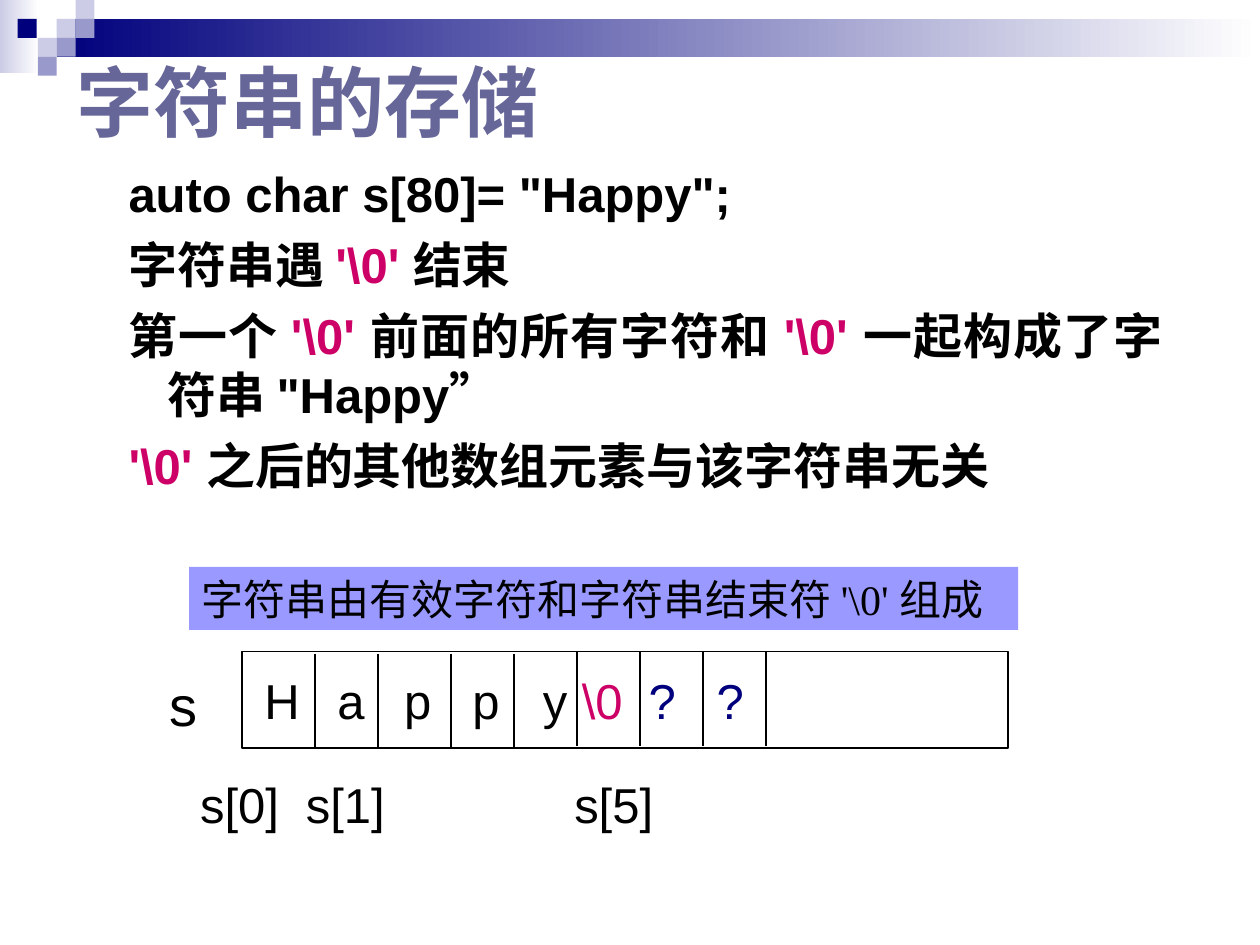
import pptx
import pptx.util
import pptx.dml.color
import pptx.enum.shapes
import pptx.enum.text
import pptx.oxml.ns
import lxml.etree as etree

PX = 9144  # 100 px to the inch
SANS, HAN, SERIF = "Arial", "Noto Sans CJK SC", "Times New Roman"
BLACK, PINK, NAVY = "000000", "CC0066", "00007D"
PALE, MID, WHITE = "CCCCE6", "9999CC", "FFFFFF"
NUL = "'\\0' "
ALIGN = pptx.enum.text.PP_ALIGN


def emu(*nums):
    return [pptx.util.Emu(n * PX) for n in nums]


def rgb(code):
    return pptx.dml.color.RGBColor.from_string(code)


def child(node, tag, **attrs):
    return etree.SubElement(node, pptx.oxml.ns.qn(tag), attrs)


def rect(slide, box, fill=None, line=None):
    shape = slide.shapes.add_shape(
        pptx.enum.shapes.MSO_SHAPE.RECTANGLE, *emu(*box))
    shape.shadow.inherit = False
    if fill:
        shape.fill.solid()
        shape.fill.fore_color.rgb = rgb(fill)
    else:
        shape.fill.background()
    if line:
        shape.line.color.rgb = rgb(line)
        shape.line.width = pptx.util.Pt(1)
    else:
        shape.line.fill.background()
    return shape


def fade(slide, box, color):
    """Rectangle fading from color at the left to white."""
    fill = rect(slide, box, color).fill
    fill.gradient()
    fill.gradient_angle = 180
    for stop, code in zip(fill.gradient_stops, (WHITE, color)):
        stop.color.rgb = rgb(code)


def rule(slide, x, top, end):
    line = slide.shapes.add_connector(
        pptx.enum.shapes.MSO_CONNECTOR.STRAIGHT, *emu(x, top, x, end))
    line.line.color.rgb = rgb(BLACK)
    line.line.width = pptx.util.Pt(1)
    child(line._element.spPr, "a:effectLst")


def write(para, text, size, color=BLACK, bold=False, face=SANS):
    run = para.add_run()
    run.text = text
    font = run.font
    font.size, font.bold, font.name = pptx.util.Pt(size), bold, face
    font.color.rgb = rgb(color)
    child(run._r.get_or_add_rPr(), "a:ea", typeface=HAN)


def hang(para, left, depth):
    """Hanging indent without a bullet."""
    props = para._p.get_or_add_pPr()
    props.set("marL", str(left * PX))
    props.set("indent", str(-depth * PX))
    child(props, "a:buNone")


def place(shape, box):
    shape.left, shape.top, shape.width, shape.height = emu(*box)
    frame = shape.text_frame
    frame.word_wrap = True
    frame.auto_size = pptx.enum.text.MSO_AUTO_SIZE.NONE
    return frame


def label(slide, box, text, size, color=BLACK):
    frame = place(slide.shapes.add_textbox(*emu(*box)), box)
    write(frame.paragraphs[0], text, size, color)


def header(slide, x, y):
    fade(slide, (x, y, 31, 58), PALE)
    fade(slide, (x + 45, y + 15, 955, 30), NAVY)
    tiles = [(45, 15, PALE), (60, 0, PALE), (60, 15, MID), (30, 30, PALE),
             (14, 15, NAVY), (45, 30, MID), (30, 45, MID)]
    for dx, dy, color in tiles:
        rect(slide, (x + dx, y + dy, 15, 15), color)


def title(slide, box):
    frame = place(slide.shapes.title, box)
    frame.vertical_anchor = pptx.enum.text.MSO_ANCHOR.MIDDLE
    para = frame.paragraphs[0]
    para.alignment = ALIGN.LEFT
    write(para, "字符串的存储", 44, "666699", True)


def body(slide, box):
    lines = [
        ['auto char s[80]= "Happy";'],
        ["字符串遇 ", NUL, "结束"],
        ["第一个 ", NUL, "前面的所有字符和 ", NUL, '一起构成了字符串 "Happy”'],
        [NUL, "之后的其他数组元素与该字符串无关"],
    ]
    frame = place(slide.placeholders[1], box)
    for i, parts in enumerate(lines):
        para = frame.add_paragraph() if i else frame.paragraphs[0]
        para.level = 1
        hang(para, 81, 31)
        para.alignment = ALIGN.JUSTIFY if i else ALIGN.LEFT
        para.space_before = pptx.util.Pt(7 if i else 0)
        for text in parts:
            write(para, text, 28, PINK if text == NUL else BLACK, True)


def banner(slide, box):
    frame = place(rect(slide, box, "9999FF"), box)
    frame.vertical_anchor = pptx.enum.text.MSO_ANCHOR.TOP
    para = frame.paragraphs[0]
    para.alignment = ALIGN.LEFT
    write(para, "字符串由有效字符和字符串结束符 ", 24, face=HAN)
    write(para, NUL, 24, face=SERIF)
    write(para, "组成", 24, face=HAN)


def memory(slide, x, y):
    """Array cells with the name at the left and indexes below."""
    rect(slide, (x, y, 608, 77), line=BLACK)
    for dx in (58, 108, 166, 216):
        rule(slide, x + dx, y + 2, y + 77)
    for dx in range(266, 417, 50):
        rule(slide, x + dx, y, y + 75)
    label(slide, (x - 67, y + 10, 58, 63), "s", 32)
    cells = [(8, "H", BLACK), (66, "a", BLACK), (119, "p", BLACK),
             (173, "p", BLACK), (229, "y", BLACK), (260, "\\0", PINK),
             (313, "?", NAVY), (367, "?", NAVY)]
    for dx, text, color in cells:
        label(slide, (x + dx, y + 10, 60, 56), text, 28, color)
    for dx, text in ((-43, "s[0]"), (41, "s[1]"), (254, "s[5]")):
        label(slide, (x + dx, y + 93, 90, 56), text, 28)


def main():
    deck = pptx.Presentation()
    deck.slide_width, deck.slide_height = emu(1000, 750)
    slide = deck.slides.add_slide(deck.slide_layouts[1])
    header(slide, 0, 0)
    title(slide, (51, 28, 466, 104))
    body(slide, (42, 125, 891, 297))
    memory(slide, 192, 517)
    banner(slide, (150, 450, 658, 50))
    deck.save("out.pptx")


if __name__ == "__main__":
    main()
